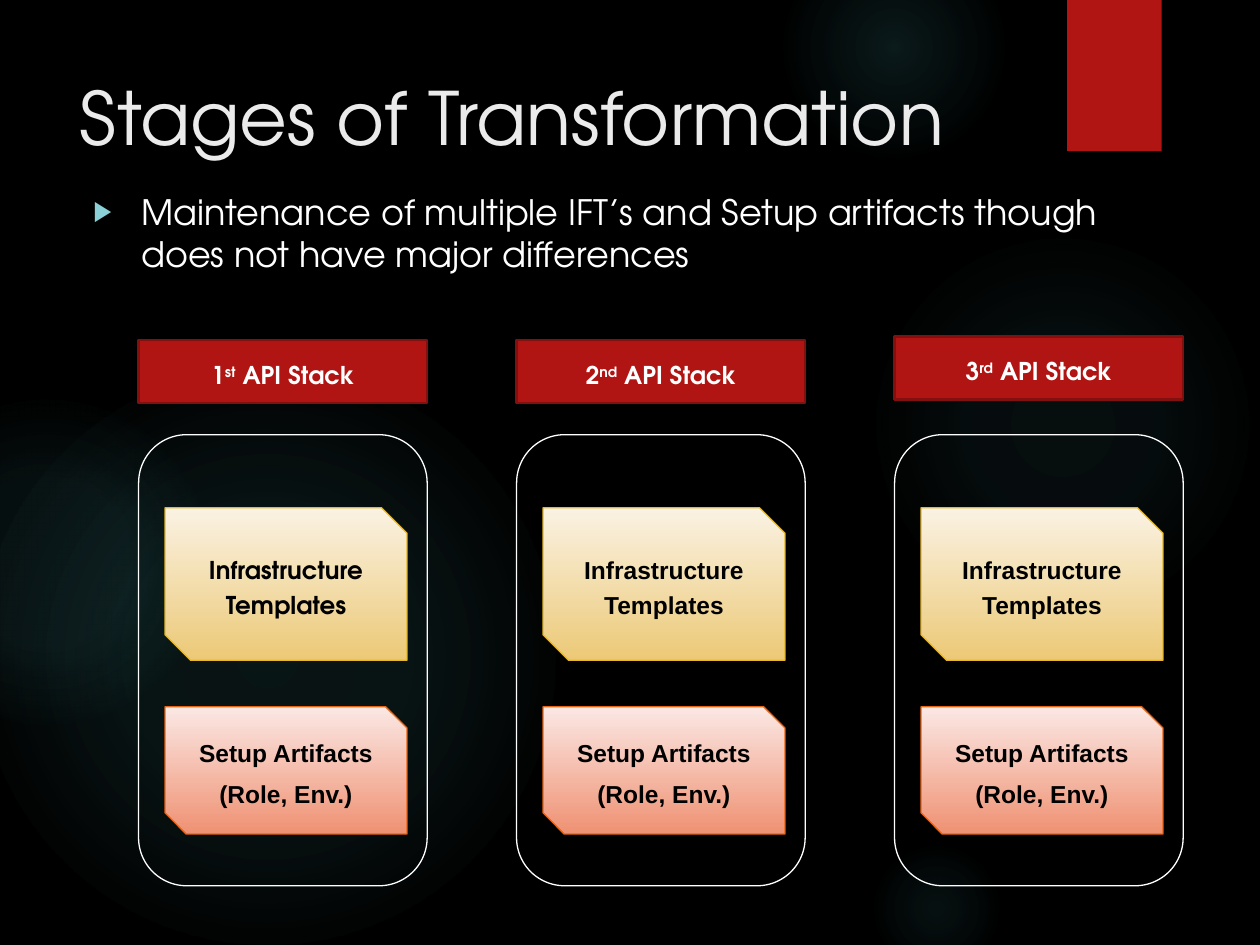
from lxml import etree
from pptx import Presentation
from pptx.dml.color import RGBColor
from pptx.enum.shapes import MSO_SHAPE
from pptx.enum.text import MSO_ANCHOR, MSO_AUTO_SIZE, PP_ALIGN
from pptx.oxml import parse_xml
from pptx.oxml.ns import qn
from pptx.util import Inches, Pt

NS = 'xmlns:a="http://schemas.openxmlformats.org/drawingml/2006/main"'
HEAD, ARIAL = "TeX Gyre Adventor", "Arial"
RED, GLOW = "B01513", "50B9C1"
DOWN = '<a:lin ang="5400000" scaled="0"/>'
RADIAL = ('<a:path path="circle"><a:fillToRect l="50000" t="50000" '
          'r="50000" b="50000"/></a:path>')


def rgb(value):
    return RGBColor.from_string(value)


def style_font(font, name, size, color, bold=False):
    font.name, font.size, font.bold = name, Pt(size), bold
    font.color.rgb = rgb(color)


def add_box(shapes, kind, box, fill=None, line=None, width=0.75):
    sp = shapes.add_shape(kind, *map(Inches, box))
    sp.shadow.inherit = False
    if fill:
        sp.fill.solid()
        sp.fill.fore_color.rgb = rgb(fill)
    else:
        sp.fill.background()
    if line:
        sp.line.color.rgb = rgb(line)
        sp.line.width = Pt(width)
    else:
        sp.line.fill.background()
    return sp


def set_gradient(sp, stops, direction):
    """Stops are (position %, colour, opacity %)."""
    gs = "".join(
        f'<a:gs pos="{pos * 1000}"><a:srgbClr val="{color}">'
        f'<a:alpha val="{alpha * 1000}"/></a:srgbClr></a:gs>'
        for pos, color, alpha in stops)
    grad = parse_xml(f'<a:gradFill {NS} rotWithShape="1"><a:gsLst>{gs}</a:gsLst>'
                     f'{direction}</a:gradFill>')
    spPr = sp._element.spPr
    spPr.replace(spPr.find(qn("a:noFill")), grad)


def format_lines(tf, font_name, color):
    tf.word_wrap = True
    tf.vertical_anchor = MSO_ANCHOR.MIDDLE
    for i, p in enumerate(tf.paragraphs):
        p.alignment = PP_ALIGN.CENTER
        p.line_spacing = 1.2
        if i:
            p.space_before = Pt(3)
        for r in p.runs:
            style_font(r.font, font_name, 14, color, True)


def add_background(s):
    s.background.fill.solid()
    s.background.fill.fore_color.rgb = rgb("000000")
    # Soft glows: left, top, diameter, centre and middle opacity, fade end
    for x, y, d, inner, middle, end in [
            (6.89, 1.83, 3.08, 7, 6, 69), (6.22, -0.5, 1.75, 14, 7, 73),
            (6.89, 6.67, 1.08, 9, 5, 66), (-0.17, 2.92, 4.58, 11, 10, 75),
            (-0.92, 3.17, 2.58, 8, 8, 72)]:
        glow = add_box(s.shapes, MSO_SHAPE.OVAL, (x, y, d, d))
        set_gradient(glow, [(0, GLOW, inner), (36, GLOW, middle), (end, GLOW, 0)], RADIAL)
    # Red tab with a soft shadow
    tab = add_box(s.shapes, MSO_SHAPE.RECTANGLE, (8.47, 0, 0.75, 1.2), RED)
    tab._element.spPr.find(qn("a:effectLst")).append(parse_xml(
        f'<a:outerShdw {NS} blurRad="38100" dist="25400" dir="5400000" rotWithShape="0">'
        '<a:srgbClr val="000000"><a:alpha val="45000"/></a:srgbClr></a:outerShdw>'))


def place_text(sp, box, text, size, color, anchor):
    sp.left, sp.top, sp.width, sp.height = map(Inches, box)
    tree = sp._element.getparent()
    tree.append(sp._element)  # in front of the background
    tf = sp.text_frame
    tf.text = text
    tf.word_wrap = True
    tf.auto_size = MSO_AUTO_SIZE.NONE
    tf.vertical_anchor = anchor
    p = tf.paragraphs[0]
    p.alignment = PP_ALIGN.LEFT
    p.space_before = Pt(0)
    style_font(p.runs[0].font, HEAD, size, color)
    return p


def add_bullet(p, indent, char, color, percent):
    pPr = p._p.get_or_add_pPr()
    pPr.set("marL", str(Inches(indent)))
    pPr.set("indent", str(-Inches(indent)))
    clr = etree.SubElement(pPr, qn("a:buClr"))
    etree.SubElement(clr, qn("a:srgbClr"), val=color)
    etree.SubElement(pPr, qn("a:buSzPct"), val=str(percent * 1000))
    etree.SubElement(pPr, qn("a:buFont"), typeface=ARIAL)
    etree.SubElement(pPr, qn("a:buChar"), char=char)


def add_heading(s, box, number, suffix):
    sp = add_box(s.shapes, MSO_SHAPE.RECTANGLE, box, RED, "82100E", 1.5)
    p = sp.text_frame.paragraphs[0]
    for text in (number, suffix, " API Stack"):
        p.add_run().text = text
    format_lines(sp.text_frame, HEAD, "FFFFFF")
    p.runs[1].font._element.set("baseline", "30000")


def add_card(shapes, box, text, font_name, top, bottom, line):
    sp = add_box(shapes, MSO_SHAPE.SNIP_2_DIAG_RECTANGLE, box, line=line)
    set_gradient(sp, [(0, top, 100), (100, bottom, 100)], DOWN)
    sp.text_frame.text = text
    format_lines(sp.text_frame, font_name, "000000")


def add_stack(s, box, font_name):
    x, y, w, h = box
    shapes = s.shapes.add_group_shape().shapes
    add_box(shapes, MSO_SHAPE.ROUNDED_RECTANGLE, box, line="FFFFFF")
    card_x, card_w = x + 0.21, w - 0.37
    add_card(shapes, (card_x, y + 0.58, card_w, 1.21), "Infrastructure Templates",
             font_name, "FAF2E3", "ECC977", "E6B729")
    add_card(shapes, (card_x, y + 2.16, card_w, 1.01), "Setup Artifacts\n(Role, Env.)",
             ARIAL, "FBE8E4", "EF9173", "EA6312")


def main():
    prs = Presentation()
    prs.slide_width, prs.slide_height = Inches(10), Inches(7.5)
    s = prs.slides.add_slide(prs.slide_layouts[1])
    add_background(s)

    # Title and bullet
    place_text(s.shapes.title, (0.53, 0.5, 7.72, 0.84), "Stages of Transformation",
               42, "EBEBEB", MSO_ANCHOR.MIDDLE)
    p = place_text(s.placeholders[1], (0.64, 1.46, 8.75, 1.26),
                   "Maintenance of multiple IFT’s and Setup artifacts though "
                   "does not have major differences", 20, "FFFFFF", MSO_ANCHOR.TOP)
    add_bullet(p, 0.38, "▶", "8AD0D6", 80)

    # Three API stacks
    stacks = [("1", "st", 2.7, HEAD), ("2", "nd", 2.7, ARIAL), ("3", "rd", 2.67, ARIAL)]
    for i, (number, suffix, top, font_name) in enumerate(stacks):
        x = 1.1 + 3 * i
        add_stack(s, (x, 3.45, 2.29, 3.58), font_name)
        add_heading(s, (x, top, 2.29, 0.5), number, suffix)

    prs.save("out.pptx")


if __name__ == "__main__":
    main()
